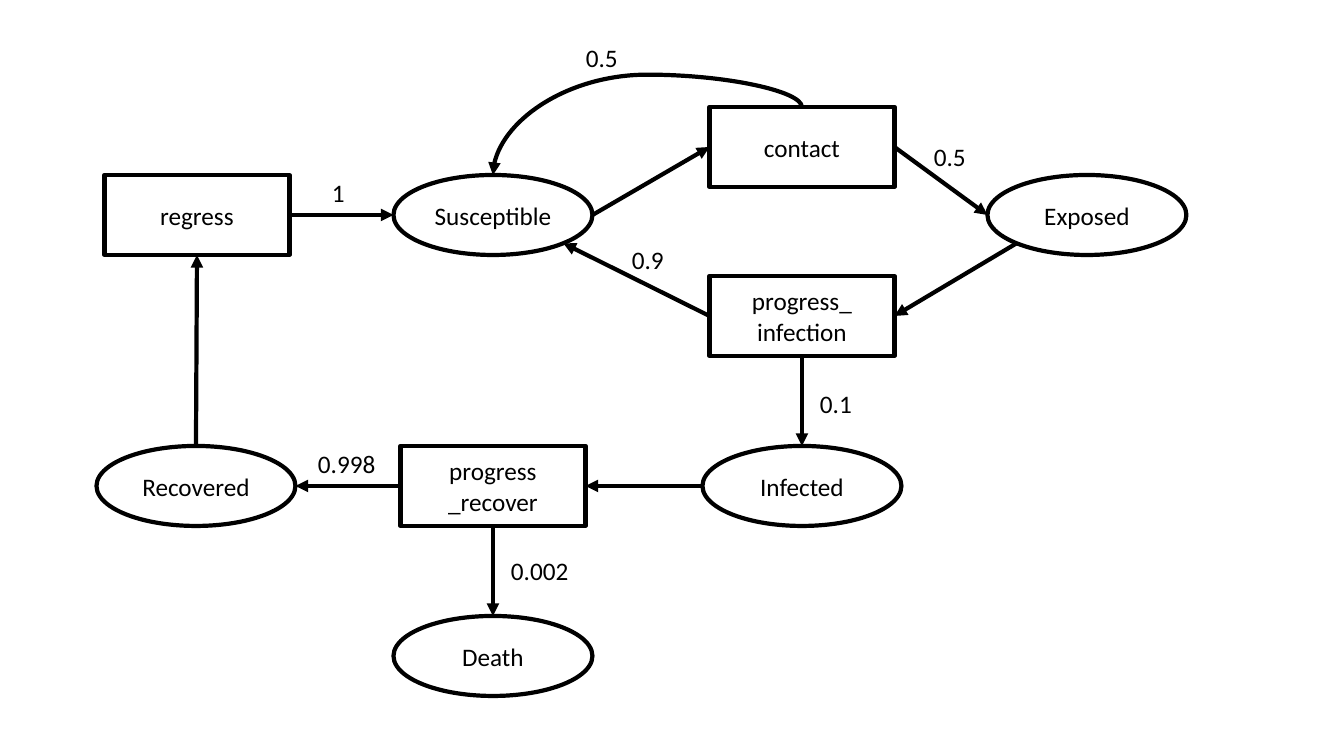
from math import sqrt
from lxml.etree import SubElement
from pptx import Presentation
from pptx.dml.color import RGBColor
from pptx.enum.shapes import MSO_CONNECTOR, MSO_SHAPE
from pptx.enum.text import MSO_ANCHOR, MSO_AUTO_SIZE, PP_ALIGN
from pptx.oxml.ns import qn
from pptx.util import Pt

PIXEL = 9144000 / 1008
BLACK = RGBColor(0, 0, 0)
WHITE = RGBColor(255, 255, 255)
OVAL, RECT = MSO_SHAPE.OVAL, MSO_SHAPE.RECTANGLE
WIDTH = {OVAL: 199, RECT: 185}
HEIGHT = 80
DIAG = sqrt(0.5)

# Side: direction from the centre, then its site index on a rectangle and an oval
SIDES = {
    "top": (0, -1, 0, 0),
    "left": (-1, 0, 1, 2),
    "bottom": (0, 1, 2, 4),
    "right": (1, 0, 3, 6),
    "low left": (-DIAG, DIAG, None, 3),
    "low right": (DIAG, DIAG, None, 5),
}

# Text, kind, centre x, centre y
NODES = [
    ("Susceptible", OVAL, 493, 215),
    ("Exposed", OVAL, 1087, 215),
    ("Death", OVAL, 493, 656),
    ("Infected", OVAL, 802, 486),
    ("Recovered", OVAL, 196, 486),
    ("contact", RECT, 802, 147),
    ("progress_\ninfection", RECT, 802, 316),
    ("progress\n_recover", RECT, 493, 486),
    ("regress", RECT, 197, 215),
]

LINKS = [
    ("Susceptible", "right", "contact", "left"),
    ("contact", "right", "Exposed", "left"),
    ("Exposed", "low left", "progress_\ninfection", "right"),
    ("progress_\ninfection", "bottom", "Infected", "top"),
    ("progress_\ninfection", "left", "Susceptible", "low right"),
    ("Infected", "left", "progress\n_recover", "right"),
    ("progress\n_recover", "bottom", "Death", "top"),
    ("progress\n_recover", "left", "Recovered", "right"),
    ("Recovered", "top", "regress", "bottom"),
    ("regress", "right", "Susceptible", "left"),
]

# Text, left, top, width
RATES = [
    ("0.5", 576, 37, 52),
    ("0.5", 924, 136, 52),
    ("0.9", 622, 239, 52),
    ("0.1", 810, 383, 52),
    ("0.998", 308, 443, 78),
    ("0.002", 501, 550, 78),
    ("1", 322, 172, 33),
]


def emu(*sizes):
    """Turn pixels into EMU."""
    return [round(size * PIXEL) for size in sizes]


def write(frame, text, align):
    """Write the lines of a text in the slide's font."""
    frame.text = text
    for para in frame.paragraphs:
        para.alignment = align
        para.font.name = "Calibri"
        para.font.size = Pt(18)
        para.font.color.rgb = BLACK


def add_node(slide, text, kind, x, y):
    """Draw a state or a process centred on a point."""
    wide = WIDTH[kind]
    box = emu(x - wide / 2, y - HEIGHT / 2, wide, HEIGHT)
    node = slide.shapes.add_shape(kind, *box)
    node.shadow.inherit = False
    node.fill.solid()
    node.fill.fore_color.rgb = WHITE
    node.line.color.rgb = BLACK
    node.line.width = Pt(3)
    node.text_frame.vertical_anchor = MSO_ANCHOR.MIDDLE
    node.text_frame.word_wrap = True
    write(node.text_frame, text, PP_ALIGN.CENTER)
    return node


def add_rate(slide, text, x, y, wide):
    """Write the rate of a link."""
    box = slide.shapes.add_textbox(*emu(x, y, wide, 40))
    box.text_frame.word_wrap = False
    box.text_frame.auto_size = MSO_AUTO_SIZE.SHAPE_TO_FIT_TEXT
    write(box.text_frame, text, PP_ALIGN.LEFT)


def site(node, side):
    """Give the point and the site index of a node's side."""
    dx, dy, flat, round_site = SIDES[side]
    x = node.left + node.width * (1 + dx) / 2
    y = node.top + node.height * (1 + dy) / 2
    index = flat if node.auto_shape_type == RECT else round_site
    return round(x), round(y), index


def add_arrow(slide, kind, start, end, ends):
    """Draw an arrow glued to two nodes, each given with its side."""
    arrow = slide.shapes.add_connector(kind, *ends)
    arrow.line.color.rgb = BLACK
    arrow.line.width = Pt(3)
    SubElement(arrow.line._get_or_add_ln(), qn("a:tailEnd"), type="triangle")
    props = arrow._element.spPr
    SubElement(props, qn("a:effectLst"))
    glue = arrow._element.nvCxnSpPr.cNvCxnSpPr
    for tag, (node, side) in (("a:stCxn", start), ("a:endCxn", end)):
        index = site(node, side)[2]
        SubElement(glue, qn(tag), id=str(node.shape_id), idx=str(index))
    return props


def add_link(slide, start, end):
    """Draw a straight arrow between two nodes."""
    ends = site(*start)[:2] + site(*end)[:2]
    add_arrow(slide, MSO_CONNECTOR.STRAIGHT, start, end, ends)


def add_loop(slide, start, end):
    """Draw the curved arrow that rises over two nodes."""
    x1, y1, _ = site(*start)
    x2, y2, _ = site(*end)
    midx, midy = (x1 + x2) // 2, (y1 + y2) // 2
    wide, high = abs(y2 - y1) // 2, abs(x2 - x1) // 2
    ends = midx + wide, midy + high, midx - wide, midy - high
    props = add_arrow(slide, MSO_CONNECTOR.CURVE, start, end, ends)
    props.find(qn("a:xfrm")).set("rot", str(270 * 60000))
    guides = props.find(qn("a:prstGeom")).find(qn("a:avLst"))
    SubElement(guides, qn("a:gd"), name="adj1", fmla="val -47700")


def add_flow(slide, left, top):
    """Draw the epidemic model from a top left corner."""
    nodes = {}
    for text, kind, x, y in NODES:
        nodes[text] = add_node(slide, text, kind, left + x, top + y)
    for first, out, last, into in LINKS:
        add_link(slide, (nodes[first], out), (nodes[last], into))
    add_loop(slide, (nodes["contact"], "top"), (nodes["Susceptible"], "top"))
    for text, x, y, wide in RATES:
        add_rate(slide, text, left + x, top + y, wide)


deck = Presentation()
deck.slide_width, deck.slide_height = emu(1344, 756)
add_flow(deck.slides.add_slide(deck.slide_layouts[6]), 0, 0)
deck.save("out.pptx")
